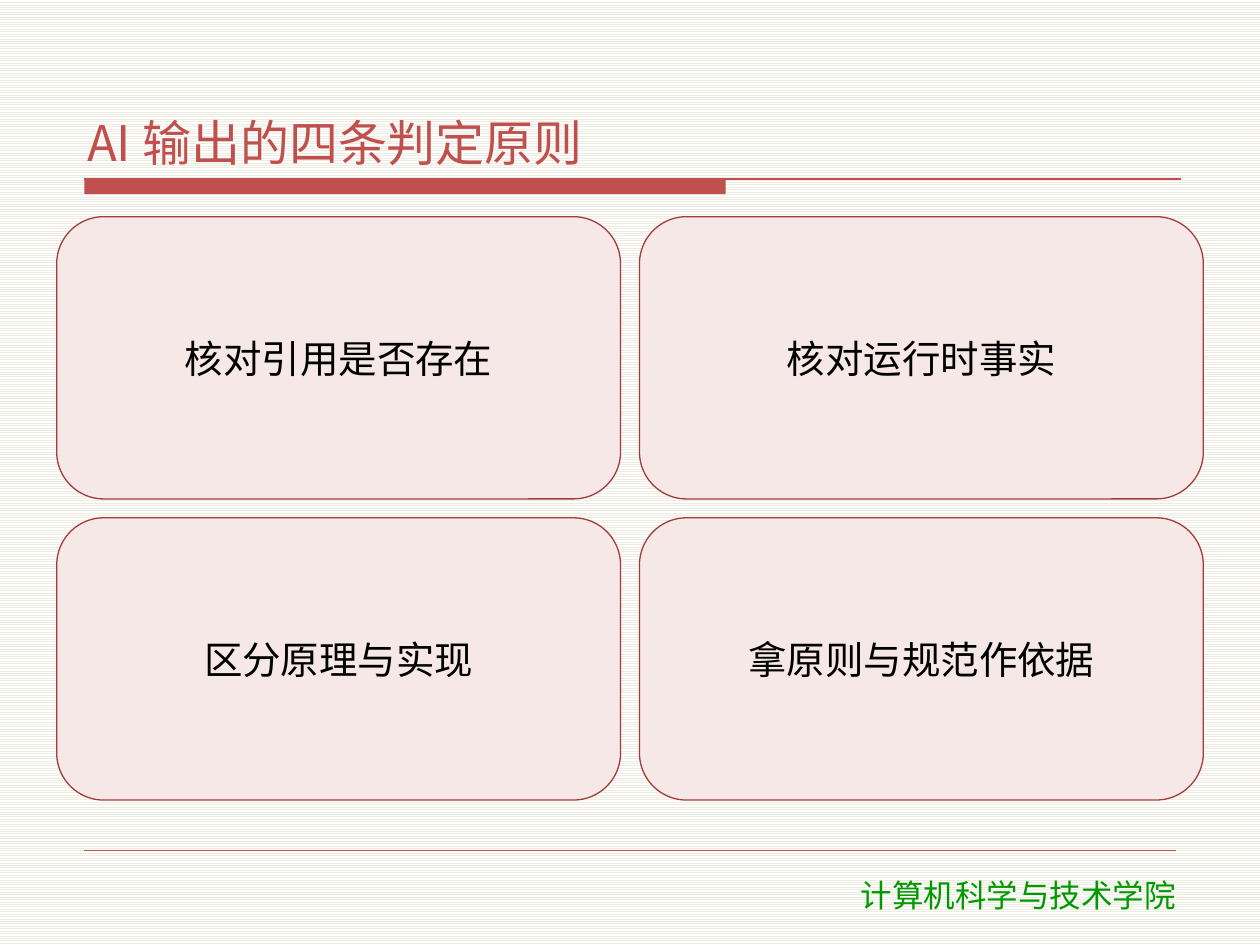
import pptx
import pptx.util
import pptx.dml.color
import pptx.enum.dml
import pptx.enum.lang
import pptx.enum.shapes
import pptx.enum.text
import pptx.oxml.ns
import lxml.etree

RGB = pptx.dml.color.RGBColor
RED = RGB(0xC0, 0x50, 0x4D)
EDGE = RGB(0xA3, 0x3B, 0x38)
PINK = RGB(0xF6, 0xE8, 0xE6)
GREEN = RGB(0x00, 0x99, 0x00)
BLACK = RGB(0x00, 0x00, 0x00)
CREAM = RGB(0xEE, 0xEC, 0xE1)
WHITE = RGB(0xFF, 0xFF, 0xFF)

Pt = pptx.util.Pt
KIND = pptx.enum.shapes.MSO_SHAPE
ALIGN = pptx.enum.text.PP_ALIGN
ANCHOR = pptx.enum.text.MSO_ANCHOR
COLS, ROWS = 100, 75


class Deck:
    """Holds the style and the current slide; lengths are grid columns and rows."""

    sans = "Noto Sans CJK SC"
    inset = {"margin_left": Pt(4.5), "margin_right": Pt(4.5),
             "margin_top": Pt(1.5), "margin_bottom": Pt(1.5), "word_wrap": True}

    def __init__(self):
        self.prs = pptx.Presentation()
        self.prs.slide_width = pptx.util.Inches(10)
        self.prs.slide_height = pptx.util.Inches(7.5)
        self.slide = self.prs.slides.add_slide(self.prs.slide_layouts[6])

    def grid(self, *spans):
        """Turn alternating column and row counts into lengths."""
        units = self.prs.slide_width / COLS, self.prs.slide_height / ROWS
        return [round(n * units[i % 2]) for i, n in enumerate(spans)]

    def back(self, fore, base):
        fill = self.slide.background.fill
        fill.patterned()
        fill.pattern = pptx.enum.dml.MSO_PATTERN.LIGHT_HORIZONTAL
        fill.fore_color.rgb = fore
        fill.back_color.rgb = base

    def label(self, shape, words, size, color, align, anchor, face=sans, after=2):
        frame = shape.text_frame
        for key, val in {**self.inset, "vertical_anchor": anchor}.items():
            setattr(frame, key, val)
        para = frame.paragraphs[0]
        para.alignment = align
        para.space_after = Pt(after)
        run = para.add_run()
        run.text = words
        look = {"size": Pt(size), "name": face,
                "language_id": pptx.enum.lang.MSO_LANGUAGE_ID.SIMPLIFIED_CHINESE}
        for key, val in look.items():
            setattr(run.font, key, val)
        run.font.color.rgb = color

    def text(self, box, *args, **look):
        self.label(self.slide.shapes.add_textbox(*self.grid(*box)), *args, **look)

    def shape(self, kind, box, fill, edge=None):
        item = self.slide.shapes.add_shape(kind, *self.grid(*box))
        item.shadow.inherit = False
        item.fill.solid()
        item.fill.fore_color.rgb = fill
        if edge is None:
            item.line.fill.background()
        else:
            item.line.color.rgb = edge
            item.line.width = Pt(0.75)
        return item

    def rule(self, left, right, row, width):
        line = self.slide.shapes.add_connector(
            pptx.enum.shapes.MSO_CONNECTOR.STRAIGHT,
            *self.grid(left, row, right, row))
        line.line.color.rgb = RED
        line.line.width = Pt(width)
        lxml.etree.SubElement(line.element.spPr, pptx.oxml.ns.qn("a:effectLst"))


def main():
    deck = Deck()
    deck.back(CREAM, WHITE)

    # Bar and rule under the title
    deck.shape(KIND.RECTANGLE, (6.7, 14.2, 50.9, 1.2), RED)
    deck.rule(6.7, 93.7, 14.2, 0.75)

    # Footer
    deck.rule(6.7, 93.3, 67.5, 0.25)
    deck.text((60.7, 69, 40.2, 4), "计算机科学与技术学院", 18, GREEN,
              ALIGN.CENTER, ANCHOR.MIDDLE, face="DejaVu Sans", after=0)

    # Title
    deck.text((6.3, 3.3, 87.5, 10.5), "AI 输出的四条判定原则", 28, RED,
              ALIGN.LEFT, ANCHOR.BOTTOM)

    # Two by two cards
    cards = ["核对引用是否存在", "核对运行时事实",
             "区分原理与实现", "拿原则与规范作依据"]
    wide, high, gap = 44.75, 22.4, 1.5
    for i, words in enumerate(cards):
        row, col = divmod(i, 2)
        box = (4.5 + col * (wide + gap), 17.2 + row * (high + gap), wide, high)
        card = deck.shape(KIND.ROUNDED_RECTANGLE, box, PINK, EDGE)
        deck.label(card, words, 22, BLACK, ALIGN.CENTER, ANCHOR.MIDDLE)

    deck.prs.save("out.pptx")


if __name__ == "__main__":
    main()
